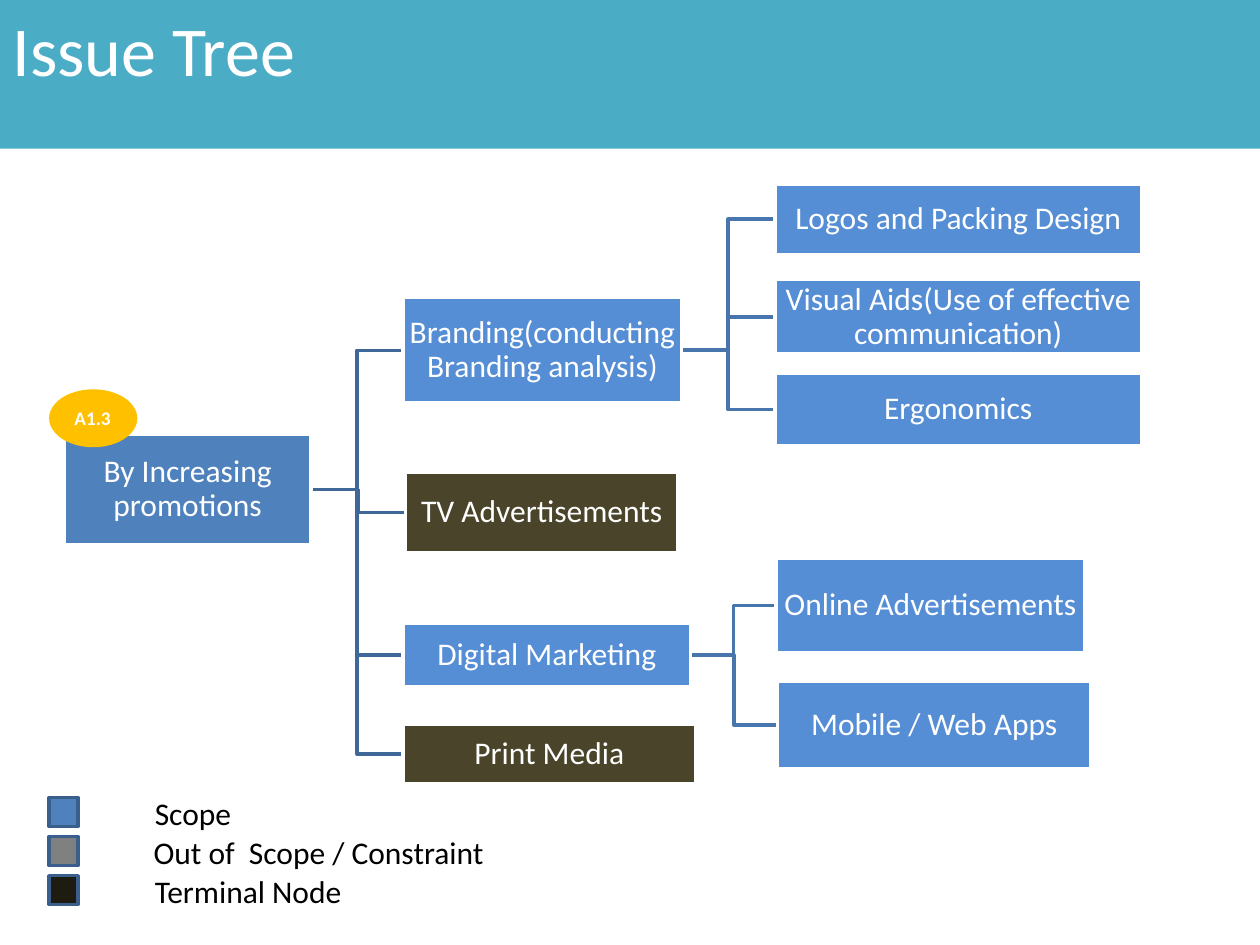
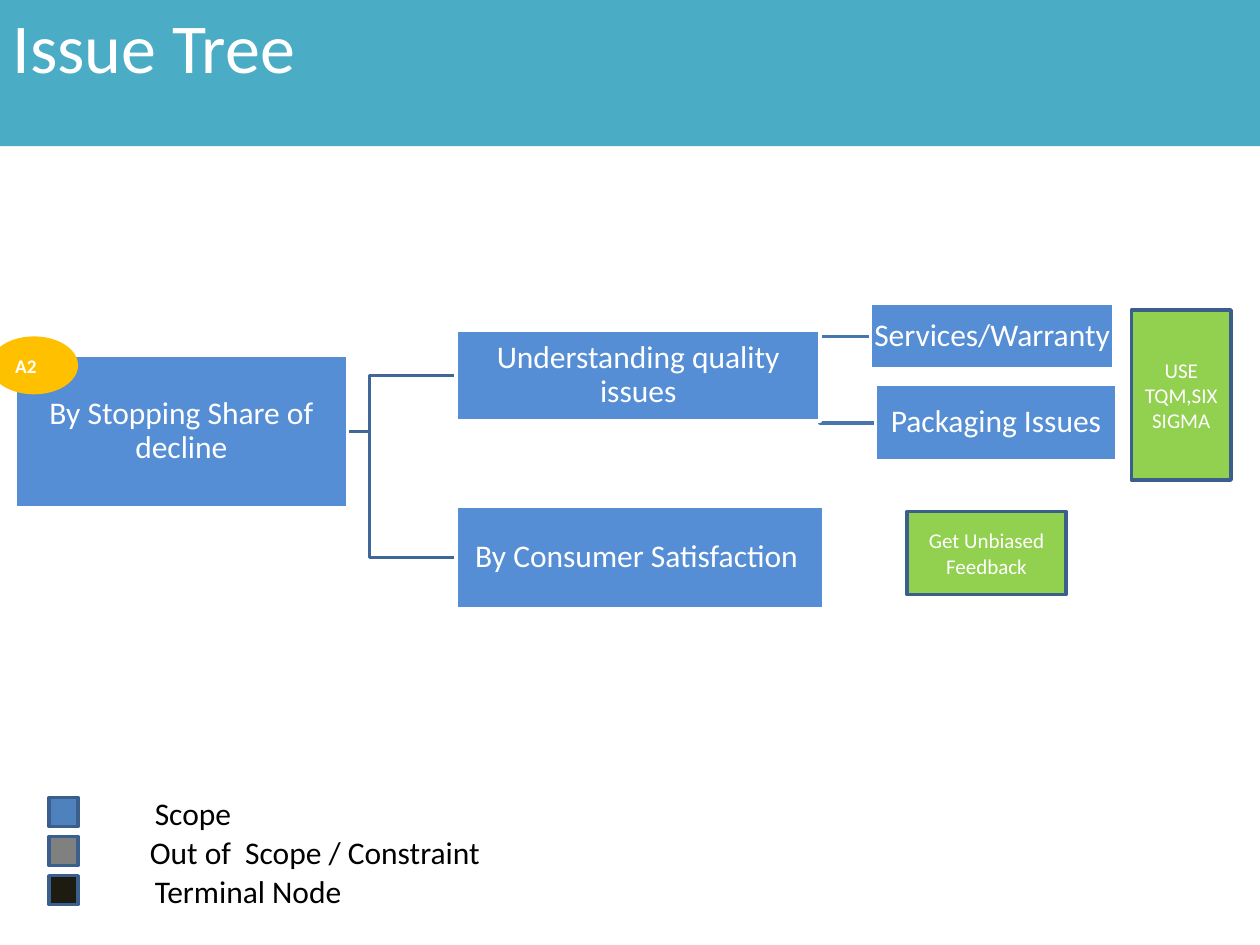
"""Build two issue tree slides with python-pptx."""
import dataclasses

import pptx
import pptx.dml.color
import pptx.enum.shapes
import pptx.enum.text
import pptx.util

Inches = pptx.util.Inches
SHAPES = pptx.enum.shapes.MSO_SHAPE
ALIGN = pptx.enum.text.PP_ALIGN
ANCHOR = pptx.enum.text.MSO_ANCHOR

FONT = "Calibri"
WHITE = "FFFFFF"
BLACK = "000000"
BAND = "4BACC6"
ROOT = "4F81BD"
SCOPE = "558ED5"
TERMINAL = "4A452A"
BADGE = "FFC000"
REMEDY = "92D050"
FRAME = "3A5F8C"
BRANCH_LINES = ["3F6797", "4875AC"]
LEGEND_COLOURS = [ROOT, "808080", "1E1C11"]


@dataclasses.dataclass
class Node:
    """One box of the tree, with its branches and where their lines bend."""
    label: str
    box: tuple
    fill: str = SCOPE
    branches: list = dataclasses.field(default_factory=list)
    bend: float = 0.5
    shape: object = SHAPES.RECTANGLE


def rgb(colour):
    """Turn a hex string into a colour."""
    return pptx.dml.color.RGBColor.from_string(colour)


def write(frame, text, size, colour=WHITE, align=ALIGN.LEFT,
          anchor=ANCHOR.MIDDLE, bold=False):
    """Write one formatted run into a text frame and return its paragraph."""
    frame.word_wrap = True
    frame.vertical_anchor = anchor
    paragraph = frame.paragraphs[0]
    paragraph.alignment = align
    run = paragraph.add_run()
    run.text = text
    run.font.name = FONT
    run.font.size = pptx.util.Pt(size)
    run.font.bold = bold
    run.font.color.rgb = rgb(colour)
    return paragraph


def add_block(slide, kind, box, fill, line=None):
    """Add a filled preset shape, outlined if a line colour is given."""
    block = slide.shapes.add_shape(kind, *map(Inches, box))
    block.shadow.inherit = False
    block.fill.solid()
    block.fill.fore_color.rgb = rgb(fill)
    if line:
        block.line.color.rgb = rgb(line)
        block.line.width = pptx.util.Pt(2)
    else:
        block.line.fill.background()
    return block


def add_title(slide, top):
    """Turn the title placeholder into the coloured band."""
    title = slide.shapes.title
    title.left, title.top, title.width, title.height = map(Inches, (0, top, 10, 1.18))
    title.fill.solid()
    title.fill.fore_color.rgb = rgb(BAND)
    title.text_frame.auto_size = pptx.enum.text.MSO_AUTO_SIZE.NONE
    write(title.text_frame, "Issue Tree", 40, anchor=ANCHOR.TOP)


def add_branch(slide, parent, child, colour):
    """Draw the elbow line from a parent to one of its branches."""
    left, top, width, height = parent.box
    start_x, start_y = left + width, top + height / 2
    end_x, end_y = child.box[0], child.box[1] + child.box[3] / 2
    bend_x = start_x + (end_x - start_x) * parent.bend
    points = [(bend_x, start_y), (bend_x, end_y), (end_x, end_y)]
    builder = slide.shapes.build_freeform(Inches(start_x), Inches(start_y))
    builder.add_line_segments([(Inches(x), Inches(y)) for x, y in points], close=False)
    elbow = builder.convert_to_shape()
    elbow.shadow.inherit = False
    elbow.fill.background()
    elbow.line.color.rgb = rgb(colour)
    elbow.line.width = pptx.util.Pt(2)


def add_branches(slide, node, depth=0):
    """Draw all lines below a node, deepest first."""
    for child in reversed(node.branches):
        add_branches(slide, child, depth + 1)
        add_branch(slide, node, child, BRANCH_LINES[depth])


def add_nodes(slide, node):
    """Draw a node and everything below it."""
    block = add_block(slide, node.shape, node.box, node.fill, WHITE)
    frame = block.text_frame
    frame.margin_left = frame.margin_right = Inches(0.01)
    frame.margin_top = frame.margin_bottom = Inches(0.01)
    write(frame, node.label, 18, align=ALIGN.CENTER).line_spacing = 0.9
    for child in node.branches:
        add_nodes(slide, child)


def add_badge(slide, text, left, top):
    """Add the oval that numbers the tree."""
    badge = add_block(slide, SHAPES.OVAL, (left, top, 0.7, 0.46), BADGE)
    write(badge.text_frame, text, 11, bold=True)


def add_remedy(slide, text, box):
    """Add a green box with a recommended action."""
    remedy = add_block(slide, SHAPES.RECTANGLE, box, REMEDY, FRAME)
    write(remedy.text_frame, text, 12, align=ALIGN.CENTER)


def add_legend(slide, constraint_left):
    """Add the three colour keys and their labels."""
    labels = [("Scope", 1.13), ("Out of  Scope / Constraint", constraint_left),
              ("Terminal Node", 1.13)]
    for row, ((text, left), colour) in enumerate(zip(labels, LEGEND_COLOURS)):
        offset = row * 0.31
        add_block(slide, SHAPES.RECTANGLE, (0.39, 6.33 + offset, 0.23, 0.23),
                  colour, FRAME)
        label = slide.shapes.add_textbox(
            *map(Inches, (left, 6.25 + offset, 2.85, 0.4)))
        write(label.text_frame, text, 18, BLACK, anchor=ANCHOR.TOP)


def add_tree_slide(deck, band_top, tree, badge, constraint_left):
    """Add a slide with title band, tree, badge and legend."""
    slide = deck.slides.add_slide(deck.slide_layouts[5])
    add_title(slide, band_top)
    add_branches(slide, tree)
    add_nodes(slide, tree)
    add_badge(slide, *badge)
    add_legend(slide, constraint_left)
    return slide


def promotions_tree():
    """Return the tree on increasing promotions."""
    branding = Node("Branding(conducting Branding analysis)", (3.2, 2.36, 2.21, 0.84), branches=[
        Node("Logos and Packing Design", (6.15, 1.46, 2.91, 0.56)),
        Node("Visual Aids(Use of effective communication)", (6.15, 2.22, 2.91, 0.59)),
        Node("Ergonomics", (6.15, 2.96, 2.91, 0.58)),
    ])
    digital = Node("Digital Marketing", (3.2, 4.95, 2.28, 0.5), branches=[
        Node("Online Advertisements", (6.16, 4.43, 2.45, 0.75)),
        Node("Mobile / Web Apps", (6.17, 5.41, 2.49, 0.69)),
    ])
    television = Node("TV Advertisements", (3.22, 3.75, 2.16, 0.64), TERMINAL)
    print_media = Node("Print Media", (3.2, 5.75, 2.32, 0.47), TERMINAL)
    return Node("By Increasing promotions", (0.51, 3.45, 1.96, 0.87), ROOT,
                [branding, television, digital, print_media],
                shape=SHAPES.FLOWCHART_PROCESS)


def decline_tree():
    """Return the tree on stopping the decline in share."""
    quality = Node("Understanding quality issues", (3.62, 2.62, 2.89, 0.72), bend=0, branches=[
        Node("Services/Warranty", (6.91, 2.41, 1.93, 0.52)),
        Node("Packaging Issues", (6.95, 3.05, 1.91, 0.61)),
    ])
    satisfaction = Node("By Consumer Satisfaction ", (3.62, 4.02, 2.92, 0.81))
    return Node("By Stopping Share of decline", (0.12, 2.82, 2.64, 1.21),
                branches=[quality, satisfaction], bend=0.2)


def main():
    """Build and save the deck."""
    deck = pptx.Presentation()
    deck.slide_width, deck.slide_height = Inches(10), Inches(7.5)
    add_tree_slide(deck, 0, promotions_tree(), ("A1.3", 0.39, 3.09), 1.12)
    decline = add_tree_slide(deck, -0.02, decline_tree(), ("A2", -0.08, 2.67), 1.09)
    add_remedy(decline, "USE TQM,SIX SIGMA", (8.98, 2.46, 0.79, 1.35))
    add_remedy(decline, "Get Unbiased Feedback", (7.2, 4.06, 1.26, 0.66))
    deck.save("out.pptx")


main()
